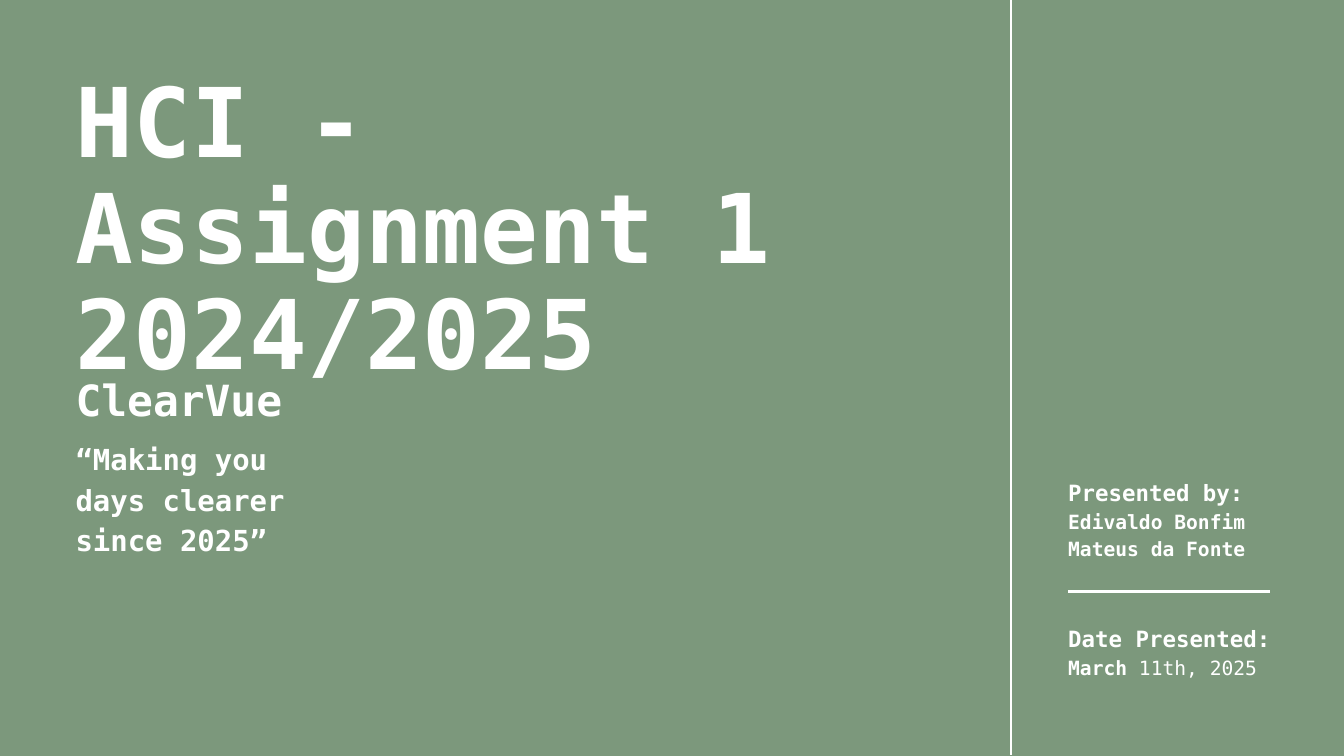
from lxml import etree
from pptx import Presentation
from pptx.dml.color import RGBColor
from pptx.enum.shapes import MSO_CONNECTOR
from pptx.enum.text import MSO_ANCHOR, MSO_AUTO_SIZE, PP_ALIGN
from pptx.oxml.ns import qn
from pptx.util import Pt

PX = 9525  # EMU per px, slide is 1920 x 1080 px
FONT = "DejaVu Sans Mono"
COLORS = {"background": "7C987C", "ink": "FFFFFF"}
LEFT, SIDE = 108, 1526


def place_text(shape, box, paragraphs):
    """Each paragraph is (size, line spacing, bold text, regular text)."""
    shape.left, shape.top, shape.width, shape.height = [v * PX for v in box]
    tf = shape.text_frame
    tf.margin_left = tf.margin_top = tf.margin_right = tf.margin_bottom = 0
    tf.word_wrap = True
    tf.auto_size = MSO_AUTO_SIZE.SHAPE_TO_FIT_TEXT
    tf.vertical_anchor = MSO_ANCHOR.TOP
    for i, (size, spacing, bold, regular) in enumerate(paragraphs):
        p = tf.add_paragraph() if i else tf.paragraphs[0]
        p.alignment = PP_ALIGN.LEFT
        p.line_spacing = Pt(spacing)
        p.space_before = Pt(0)
        p.font.name = FONT
        p.font.size = Pt(size)
        p.font.bold = True
        p.font.color.rgb = RGBColor.from_string(COLORS["ink"])
        p.add_run().text = bold
        if regular:
            r = p.add_run()
            r.text = regular
            r.font.bold = False


prs = Presentation()
prs.slide_width, prs.slide_height = 1920 * PX, 1080 * PX
s = prs.slides.add_slide(prs.slide_layouts[5])
s.background.fill.solid()
s.background.fill.fore_color.rgb = RGBColor.from_string(COLORS["background"])

# Sidebar divider and the rule between its two blocks
for ends in [(1444, -2, 1444, 1078), (SIDE + 288, 845, SIDE, 845)]:
    line = s.shapes.add_connector(MSO_CONNECTOR.STRAIGHT, *[v * PX for v in ends])
    line.line.width = Pt(2.25)
    line.line.color.rgb = RGBColor.from_string(COLORS["ink"])
    etree.SubElement(line._element.spPr, qn("a:effectLst"))

place_text(s.shapes.title, (LEFT, 102, 1254, 324), [
    (103, 113.3, "HCI - Assignment 1", ""),
    (103, 113.3, "2024/2025", ""),
])

text_boxes = [
    ((LEFT, 522, 316, 91), [(46, 64.4, "ClearVue", "")]),
    ((SIDE, 678, 318, 125), [
        (24, 33.6, "Presented by:", ""),
        (21, 29.4, "Edivaldo Bonfim", ""),
        (21, 29.4, "Mateus da Fonte", ""),
    ]),
    ((SIDE, 886, 318, 86), [
        (24, 33.6, "Date Presented:", ""),
        (21, 29.4, "March", " 11th, 2025"),
    ]),
    ((LEFT, 623, 380, 117), [
        (31, 43.4, "“Making you days clearer since 2025”", ""),
    ]),
]
for box, paragraphs in text_boxes:
    place_text(s.shapes.add_textbox(0, 0, 0, 0), box, paragraphs)

prs.save("out.pptx")
